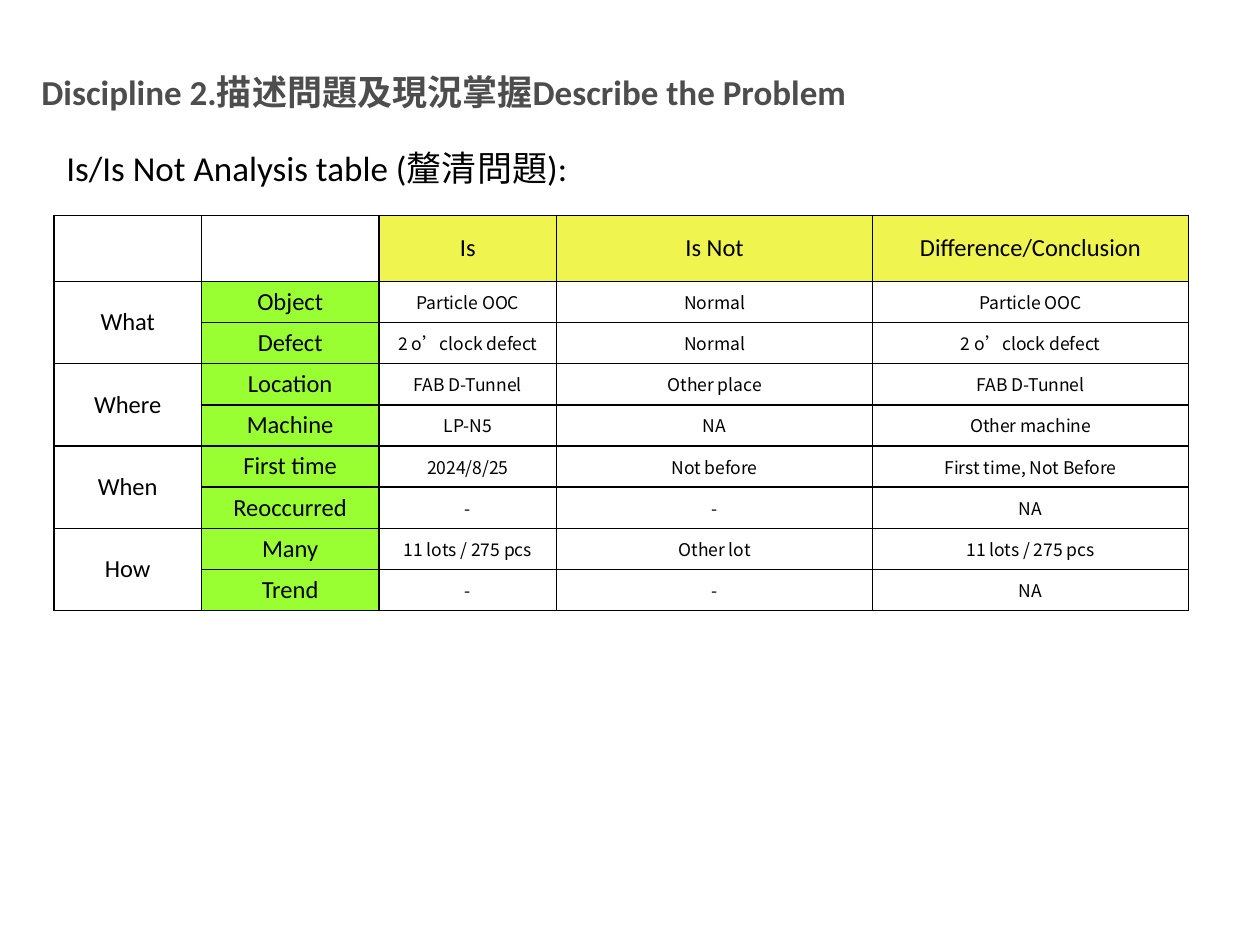
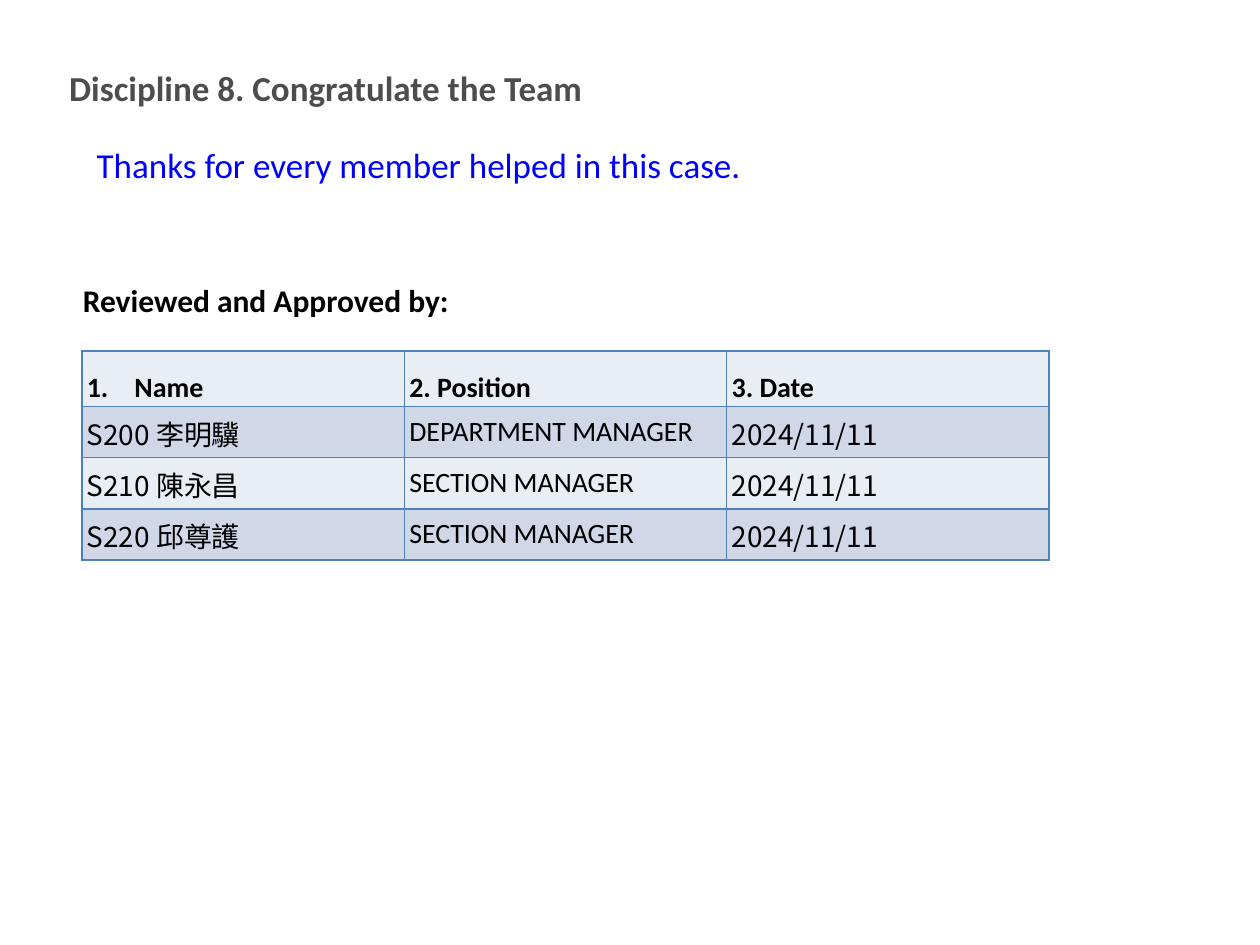
from itertools import product

from lxml import etree
from pptx import Presentation
from pptx.dml.color import RGBColor
from pptx.enum import text
from pptx.oxml import ns
from pptx.util import Cm, Pt

LATIN, CJK = "Calibri", "Noto Sans CJK SC"
GREY, BLACK, BLUE, WHITE = "4D4D4D", "000000", "0000FF", "FFFFFF"
YELLOW, GREEN = "F0F44E", "99FF33"
PALE, TINT, RULE = "E9EDF4", "D0D8E8", "4F81BD"

ANALYSIS_TITLE = "Discipline 2.描述問題及現況掌握Describe the Problem"
ANALYSIS_CAPTION = [("Is/Is Not Analysis table (", LATIN), ("釐清問題", CJK), ("):", LATIN)]
ANALYSIS = [
    ("", "", "Is", "Is Not", "Difference/Conclusion"),
    ("What", "Object", "Particle OOC", "Normal", "Particle OOC"),
    ("", "Defect", "2 o’clock defect", "Normal", "2 o’clock defect"),
    ("Where", "Location", "FAB D-Tunnel", "Other place", "FAB D-Tunnel"),
    ("", "Machine", "LP-N5", "NA", "Other machine"),
    ("When", "First time", "2024/8/25", "Not before", "First time, Not Before"),
    ("", "Reoccurred", "-", "-", "NA"),
    ("How", "Many", "11 lots / 275 pcs", "Other lot", "11 lots / 275 pcs"),
    ("", "Trend", "-", "-", "NA"),
]

TEAM_TITLE = "Discipline 8. Congratulate the Team"
THANKS = "Thanks for every member helped in this case."
APPROVAL_CAPTION = "Reviewed and Approved by:"
APPROVALS = [
    ("Name", "2. Position", "3. Date"),
    ("S200 李明驥", "DEPARTMENT MANAGER", "2024/11/11"),
    ("S210 陳永昌", "SECTION MANAGER", "2024/11/11"),
    ("S220 邱尊護", "SECTION MANAGER", "2024/11/11"),
]


def rgb(color):
    return RGBColor.from_string(color)


def style(run, size, color=BLACK, bold=False, face=LATIN):
    font = run.font
    font.size, font.bold, font.name = Pt(size), bold, face
    font.color.rgb = rgb(color)
    etree.SubElement(run._r.get_or_add_rPr(), ns.qn("a:ea"), typeface=CJK)


def add_slide(prs, title, left, top, width):
    slide = prs.slides.add_slide(prs.slide_layouts[5])
    heading = slide.shapes.title
    heading.left, heading.top, heading.width, heading.height = Cm(left), Cm(top), Cm(width), Cm(1.1)
    frame = heading.text_frame
    frame.text = title
    frame.word_wrap = True
    frame.vertical_anchor = text.MSO_ANCHOR.MIDDLE
    paragraph = frame.paragraphs[0]
    paragraph.alignment = text.PP_ALIGN.LEFT
    style(paragraph.runs[0], 20, GREY, True)
    return slide


def add_line(slide, pieces, left, top, width, height, size=20, color=BLACK, bold=False):
    frame = slide.shapes.add_textbox(Cm(left), Cm(top), Cm(width), Cm(height)).text_frame
    frame.word_wrap = True
    paragraph = frame.paragraphs[0]
    for words, face in pieces:
        run = paragraph.add_run()
        run.text = words
        style(run, size, color, bold, face)
    return paragraph


def add_grid(slide, rows, left, top, widths, heights, border):
    frame = slide.shapes.add_table(len(rows), len(widths), Cm(left), Cm(top),
                                   Cm(sum(widths)), Cm(sum(heights)))
    grid = frame.table
    grid.first_row = grid.horz_banding = False
    for column, width in zip(grid.columns, widths):
        column.width = Cm(width)
    for row, height in zip(grid.rows, heights):
        row.height = Cm(height)
    for r, c in product(range(len(rows)), range(len(widths))):
        cell = grid.cell(r, c)
        cell.text_frame.text = rows[r][c]
        cell.vertical_anchor = text.MSO_ANCHOR.MIDDLE
        outline(cell, border)
    return grid


def outline(cell, color):
    properties = cell._tc.get_or_add_tcPr()
    for place, side in enumerate("LRTB"):
        line = etree.Element(ns.qn(f"a:ln{side}"), w=str(Pt(1)))
        fill = etree.SubElement(line, ns.qn("a:solidFill"))
        etree.SubElement(fill, ns.qn("a:srgbClr"), val=color)
        properties.insert(place, line)


def dress(cell, fill, margins, size, bold=False, face=LATIN):
    cell.fill.solid()
    cell.fill.fore_color.rgb = rgb(fill)
    side, edge = margins
    cell.margin_left = cell.margin_right = Cm(side)
    cell.margin_top = cell.margin_bottom = Cm(edge)
    paragraph = cell.text_frame.paragraphs[0]
    for run in paragraph.runs:
        style(run, size, BLACK, bold, face)
    return paragraph


def build_analysis(prs):
    slide = add_slide(prs, ANALYSIS_TITLE, 0.58, 1.3, 24.5)
    add_line(slide, ANALYSIS_CAPTION, 1.09, 2.82, 14, 1.1)
    grid = add_grid(slide, ANALYSIS, 1.09, 4.34, [2.97, 3.58, 3.58, 6.37, 6.37],
                    [1.33] + [0.83] * 8, BLACK)
    for r, c in product(range(len(ANALYSIS)), range(5)):
        header, answer = r == 0, r > 0 and c > 1
        fill = YELLOW if header and c > 1 else GREEN if c == 1 and not header else WHITE
        size, face = (10, CJK) if answer else (14, LATIN)
        paragraph = dress(grid.cell(r, c), fill, (0.03, 0.02), size, face=face)
        paragraph.alignment = text.PP_ALIGN.CENTER
    for r in range(1, len(ANALYSIS), 2):
        grid.cell(r, 0).merge(grid.cell(r + 1, 0))


def build_team(prs):
    slide = add_slide(prs, TEAM_TITLE, 1.14, 1.22, 21.13)
    add_line(slide, [(THANKS, LATIN)], 1.7, 2.77, 21.13, 1.1, color=BLUE)
    caption = add_line(slide, [(APPROVAL_CAPTION, LATIN)], 1.42, 5.16, 9, 1.55, 18, bold=True)
    caption.line_spacing = 1.5
    grid = add_grid(slide, APPROVALS, 1.65, 7.08, [6.5] * 3, [1.1] + [1.03] * 3, RULE)
    for r, c in product(range(len(APPROVALS)), range(3)):
        header = r == 0
        paragraph = dress(grid.cell(r, c), TINT if r % 2 else PALE, (0.1, 0.05 if header else 0.13),
                          16, header, LATIN if header or c == 1 else CJK)
        if header:
            paragraph.line_spacing = 1.5
    numbered = grid.cell(0, 0).text_frame.paragraphs[0]._p.get_or_add_pPr()
    numbered.set("marL", str(Cm(0.96)))
    numbered.set("indent", str(-Cm(0.96)))
    etree.SubElement(numbered, ns.qn("a:buAutoNum"), type="arabicPeriod")


def main():
    prs = Presentation()
    prs.slide_width, prs.slide_height = Cm(25.4), Cm(19.05)
    build_analysis(prs)
    build_team(prs)
    prs.save("out.pptx")


if __name__ == "__main__":
    main()
